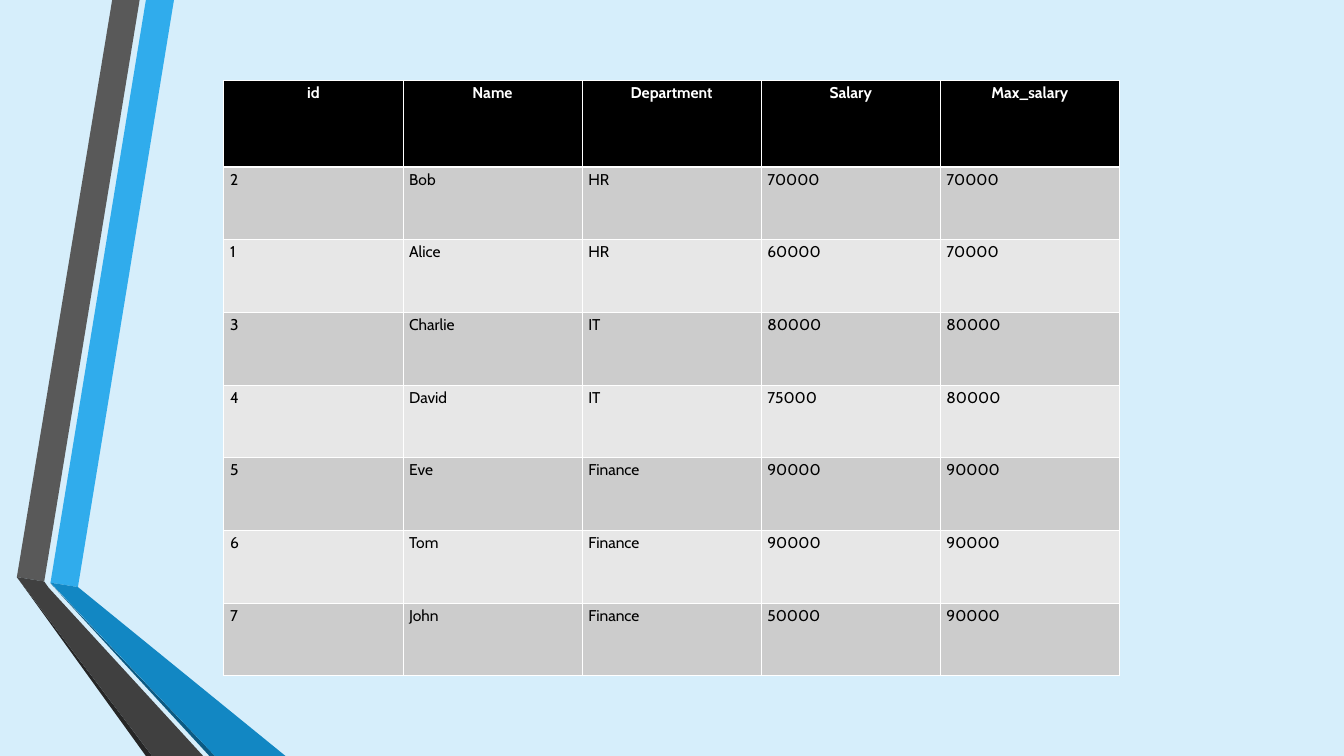
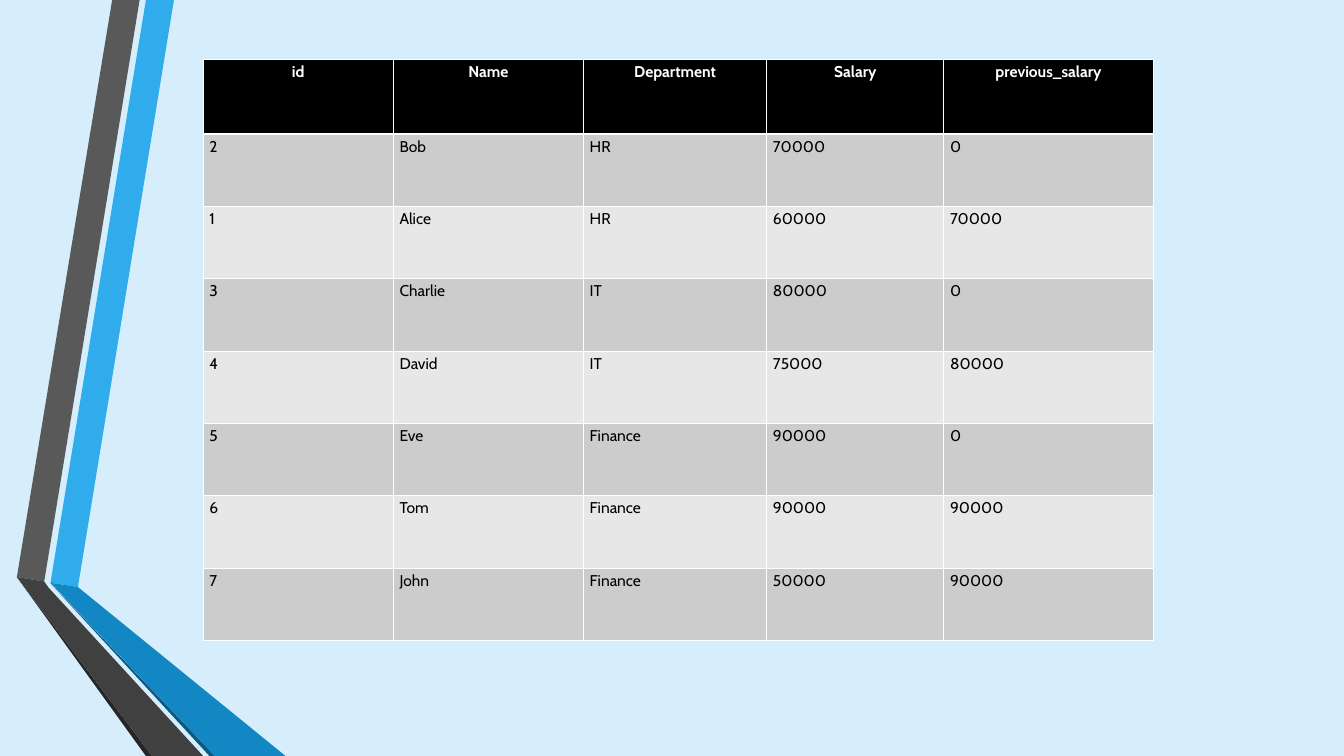
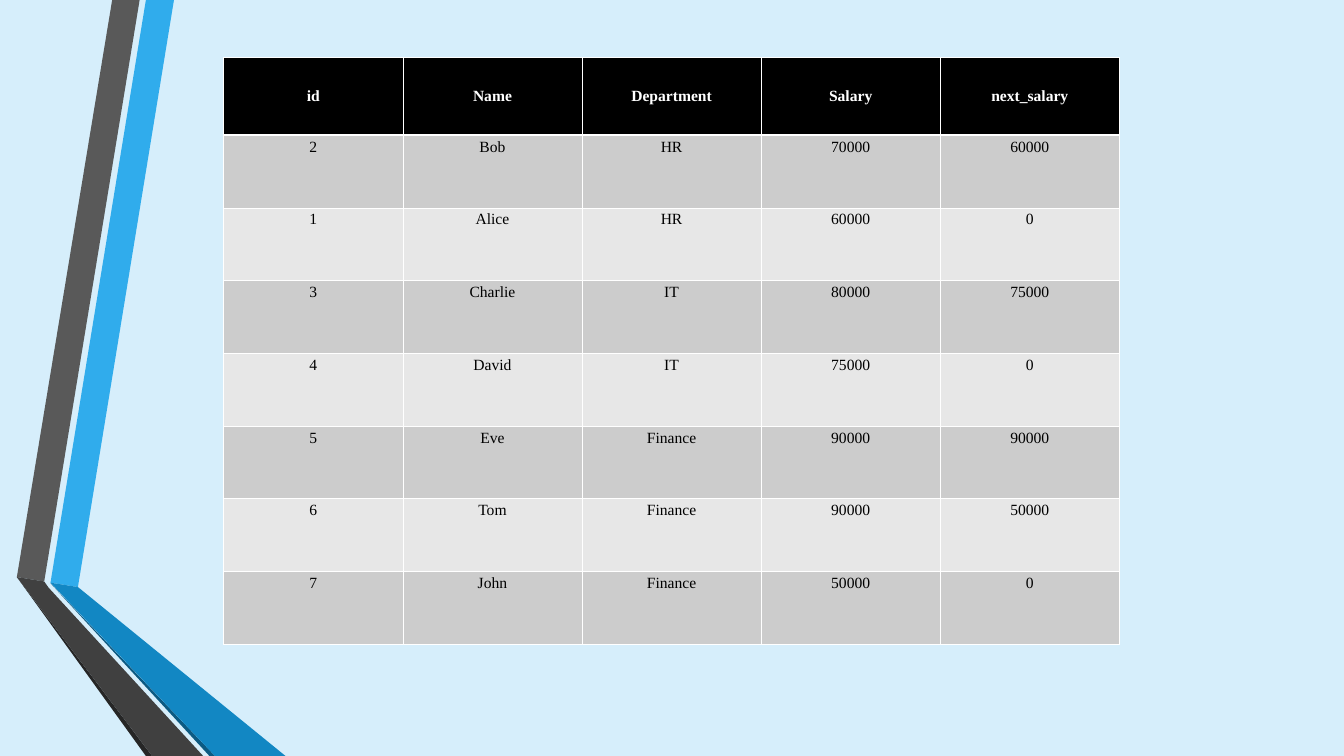
from lxml.etree import SubElement
from pptx import Presentation
from pptx.dml.color import RGBColor
from pptx.enum.text import MSO_ANCHOR, PP_ALIGN
from pptx.oxml.ns import qn
from pptx.util import Pt

WIDE, HIGH = 1552.3, 873.4
SKY = RGBColor(0xD6, 0xEE, 0xFB)
BLUE = RGBColor(0x30, 0xAC, 0xEC)
OCEAN = RGBColor(0x12, 0x87, 0xC3)
NAVY = RGBColor(0x0C, 0x5A, 0x82)
GREY = RGBColor(0x59, 0x59, 0x59)
COAL = RGBColor(0x40, 0x40, 0x40)
SOOT = RGBColor(0x26, 0x26, 0x26)
BLACK = RGBColor(0, 0, 0)
WHITE = RGBColor(0xFF, 0xFF, 0xFF)
BANDS = (RGBColor(0xCC, 0xCC, 0xCC), RGBColor(0xE7, 0xE7, 0xE7))
SANS, SERIF = "Cabin", "Times New Roman"

RIBBONS = (
    (BLUE, ((58.3, 673.2), (90, 678.2), (200.9, 0), (168.5, 0))),
    (GREY, ((161.3, 0), (129.6, 0), (19.5, 666.7), (51.1, 671.8))),
    (SOOT, ((19.5, 666.7), (168.5, HIGH), (175.7, HIGH))),
    (NAVY, ((58.3, 673.9), (241.9, HIGH), (248.4, HIGH))),
    (OCEAN, ((58.3, 673.2), (248.4, HIGH), (329.8, HIGH), (90, 678.2))),
    (COAL, ((234.7, HIGH), (56.2, 679), (51.1, 671.8), (19.5, 666.7),
            (175.7, HIGH))),
)

HEADS = ("id", "Name", "Department", "Salary")
STAFF = (
    ("2", "Bob", "HR", "70000"),
    ("1", "Alice", "HR", "60000"),
    ("3", "Charlie", "IT", "80000"),
    ("4", "David", "IT", "75000"),
    ("5", "Eve", "Finance", "90000"),
    ("6", "Tom", "Finance", "90000"),
    ("7", "John", "Finance", "50000"),
)
EVEN = (206.9,) * 5
SLIDES = (
    dict(head="Max_salary",
         pay=("70000", "70000", "80000", "80000", "90000", "90000", "90000"),
         left=258.5, top=92.9, cols=EVEN, first=100, rest=84),
    dict(head="previous_salary",
         pay=("0", "70000", "0", "80000", "0", "90000", "90000"),
         left=234.7, top=68.4, cols=(219.6, 219.6, 211.7, 204.5, 241.9),
         first=86.4, rest=83.6),
    dict(head="next_salary",
         pay=("60000", "0", "75000", "0", "90000", "50000", "0"),
         left=258.5, top=66.2, cols=EVEN, first=90, rest=84,
         font=SERIF, align=PP_ALIGN.CENTER, anchor=MSO_ANCHOR.MIDDLE),
)


def write(frame, text, font=SANS, size=18, color=BLACK, bold=False,
          align=PP_ALIGN.LEFT):
    """Put formatted text in a text frame."""
    para = frame.paragraphs[0]
    para.alignment = align
    run = para.add_run()
    run.text = text
    run.font.name = font
    run.font.size = Pt(size)
    run.font.bold = bold
    run.font.color.rgb = color


def ribbon(slide, color, points):
    """Draw one closed, filled outline and return it."""
    spots = [(Pt(x), Pt(y)) for x, y in points]
    pen = slide.shapes.build_freeform(*spots[0])
    pen.add_line_segments(spots[1:], close=True)
    shape = pen.convert_to_shape()
    shape.shadow.inherit = False
    shape.fill.solid()
    shape.fill.fore_color.rgb = color
    shape.line.fill.background()
    return shape


def dress(deck, layout):
    """Give the layout its background and ribbons."""
    fill = deck.slide_master.background.fill
    fill.solid()
    fill.fore_color.rgb = SKY
    tree = layout.shapes.element
    for holder in list(layout.placeholders):
        tree.remove(holder.element)
    slide = deck.slides.add_slide(layout)
    for color, points in RIBBONS:
        tree.append(ribbon(slide, color, points).element)
    return slide


def edge(cell, **widths):
    """Draw the white borders of a cell, one point wide unless given."""
    props = cell._tc.get_or_add_tcPr()
    for side in "LRTB":
        line = SubElement(props, qn(f"a:ln{side}"),
                          w=str(Pt(widths.get(side, 1))))
        fill = SubElement(line, qn("a:solidFill"))
        SubElement(fill, qn("a:srgbClr"), val=str(WHITE))


def paint(cell, color):
    """Fill a cell with one colour."""
    cell.fill.solid()
    cell.fill.fore_color.rgb = color


def grid(slide, head, pay, left, top, cols, first, rest, font=SANS,
         align=PP_ALIGN.LEFT, anchor=MSO_ANCHOR.TOP):
    """Add the staff table with its own last column."""
    rows = [(*HEADS, head)] + [(*who, sum_) for who, sum_ in zip(STAFF, pay)]
    highs = [first] + [rest] * len(STAFF)
    table = slide.shapes.add_table(
        len(rows), len(cols), Pt(left), Pt(top),
        Pt(sum(cols)), Pt(sum(highs))).table
    table.horz_banding = False
    for col, width in zip(table.columns, cols):
        col.width = Pt(width)
    for i, (row, high, texts) in enumerate(zip(table.rows, highs, rows)):
        row.height = Pt(high)
        for cell, text in zip(row.cells, texts):
            if i == 0:
                edge(cell, B=3)
                paint(cell, BLACK)
                cell.vertical_anchor = anchor
                write(cell.text_frame, text, font=font, color=WHITE,
                      bold=True, align=PP_ALIGN.CENTER)
            else:
                edge(cell, T=3 if i == 1 else 1)
                paint(cell, BANDS[(i - 1) % 2])
                write(cell.text_frame, text, font=font, align=align)


def main():
    """Build and save the deck."""
    deck = Presentation()
    deck.slide_width, deck.slide_height = Pt(WIDE), Pt(HIGH)
    layout = deck.slide_layouts[6]
    slide = dress(deck, layout)
    for i, facts in enumerate(SLIDES):
        if i:
            slide = deck.slides.add_slide(layout)
        grid(slide, **facts)
    deck.save("out.pptx")


if __name__ == "__main__":
    main()
